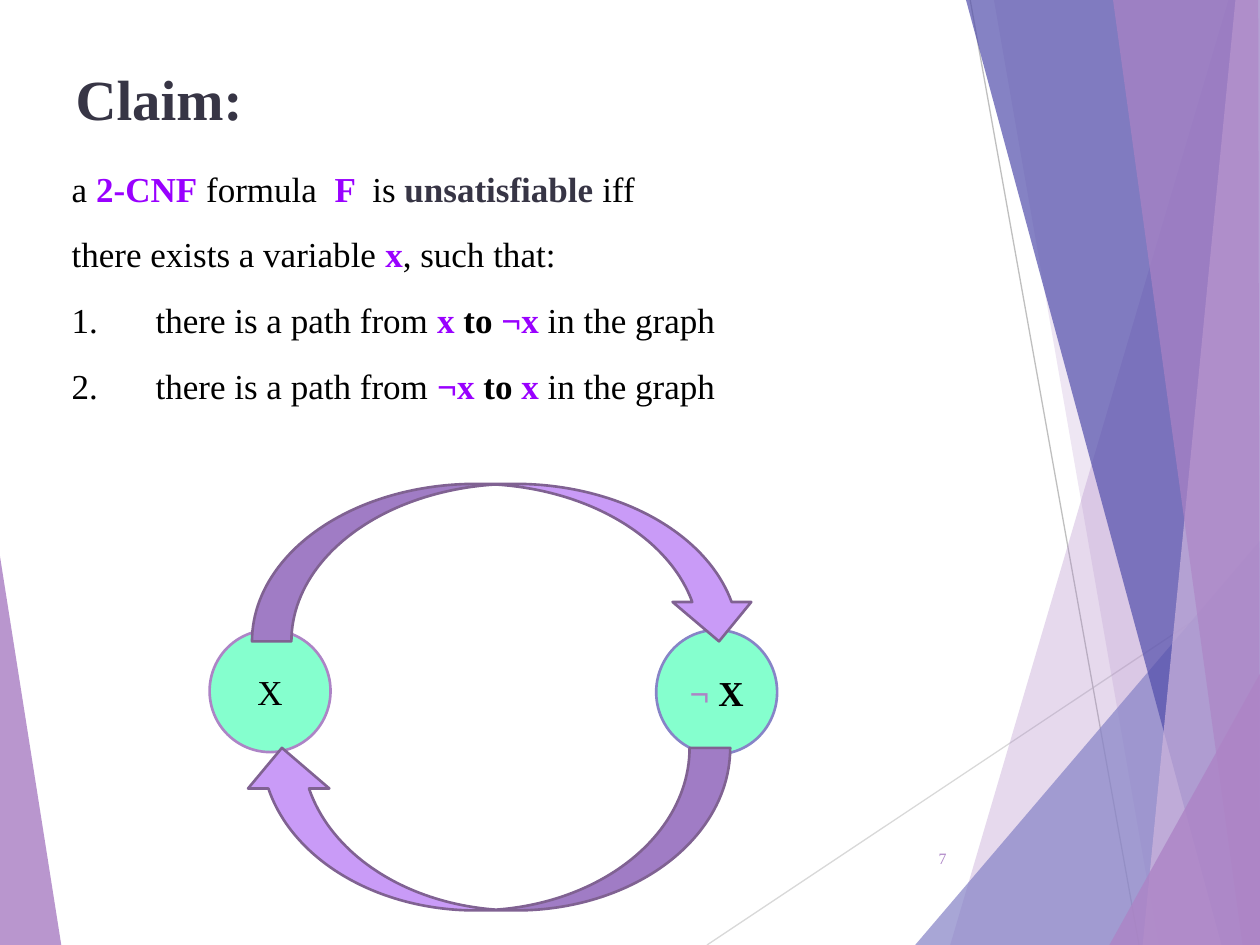
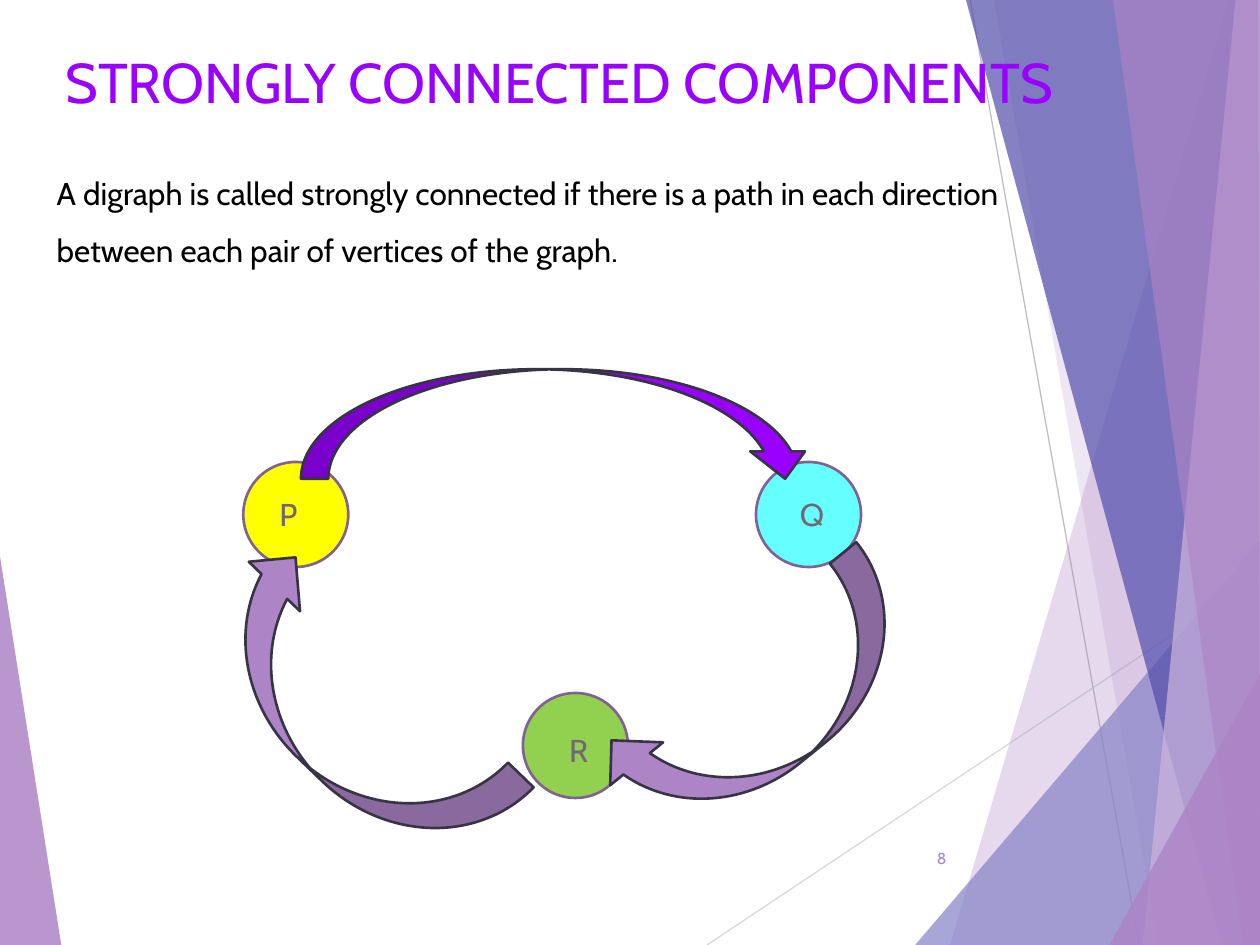
import pptx
import pptx.dml.color
import pptx.enum.shapes
import pptx.enum.text
import pptx.oxml
import pptx.oxml.ns
import pptx.util
from lxml import etree

Pt = pptx.util.Pt
qn = pptx.oxml.ns.qn
MSO_SHAPE = pptx.enum.shapes.MSO_SHAPE
ANCHOR = pptx.enum.text.MSO_ANCHOR
ALIGN = pptx.enum.text.PP_ALIGN

COLORS = {
    "lilac": "AD84C6", "periwinkle": "8784C7", "indigo": "524EAB", "mist": "CEB5DD",
    "rule": "BFBFBF", "pale rule": "D9D9D9", "black": "000000", "slate": "373545",
    "violet": "9900FF", "plum": "806292", "mauve": "C99BF7", "label": "736773",
    "mint": "85FFCE", "yellow": "FFFF00", "cyan": "66FFFF", "green": "92D050",
}
SLIDE_SIZE = (720, 540)
SERIF, SANS = "Times New Roman", "Cabin"

# Shared background: colour, opacity in percent, corner points
FACETS = [
    ("lilac", 85, [(0, 318), (35.3, 540), (0, 540)]),
    ("lilac", 30, [(702, 0), (543, 540), (720, 540), (720, 0)]),
    ("lilac", 20, [(567.5, 0), (661.7, 540), (720, 540), (720, 0)]),
    ("periwinkle", 72, [(522.7, 540), (720, 309), (720, 540)]),
    ("indigo", 70, [(552.3, 0), (698.4, 540), (720, 540), (720, 0)]),
    ("mist", 70, [(706.3, 0), (653, 540), (720, 540), (720, 0)]),
    ("lilac", 65, [(636, 0), (710, 540), (720, 540), (718.6, 0)]),
    ("lilac", 80, [(634.3, 540), (720, 385.2), (720, 540)]),
]
RULES = [("pale rule", (404, 540), (720, 329.4)), ("rule", (554.4, 0), (650.9, 540))]
PAGE_NUMBER_BOX = (507.6, 475.9, 40.3, 28.8)

# Runs are (text, colour, bold)
PLAIN, KEY, STRONG, JOIN = ("black", False), ("violet", True), ("slate", True), ("black", True)
CLAIM = [
    (False, [("a ", *PLAIN), ("2-CNF", *KEY), (" formula  ", *PLAIN), ("F ", *KEY),
             (" is ", *PLAIN), ("unsatisfiable", *STRONG), (" iff", *PLAIN)]),
    (False, [("there exists a variable ", *PLAIN), ("x", *KEY), (", such that:", *PLAIN)]),
    (True, [("there is a path from ", *PLAIN), ("x", *KEY), (" to ", *JOIN),
            ("¬x ", *KEY), ("in the graph", *PLAIN)]),
    (True, [("there is a path from ", *PLAIN), ("¬x", *KEY), (" to ", *JOIN),
            ("x ", *KEY), ("in the graph", *PLAIN)]),
]
DEFINITION = [
    (False, [("A digraph is called strongly connected if there is a path in each direction "
              "between each pair of vertices of the graph.", *PLAIN)]),
]

# Nodes: box, fill, line, runs inside.  Arrows: shape, box, rotation, fill, line.
SLIDES = [
    {
        "number": "7", "font": SERIF,
        "title": ("Claim:", (36, 31, 372, 48.2), 32.4, "slate", True, ANCHOR.BOTTOM),
        "body": (CLAIM, (33.8, 79.9, 576, 148.3), 20, 48, 1.5),
        "nodes": [
            ((119.8, 360, 69.1, 69.8), "mint", "lilac", [("X", *PLAIN)]),
            ((375, 360, 69.1, 71), "mint", "periwinkle",
             [("¬ ", "lilac", True), ("X", *JOIN)]),
        ],
        "labels": [],
        "arrows": [
            (MSO_SHAPE.CURVED_DOWN_ARROW, (144, 276.5, 289.4, 90), 0, "mauve", "plum"),
            (MSO_SHAPE.CURVED_LEFT_ARROW, (231.1, 334.1, 92.9, 279.4), 90, "mauve", "plum"),
        ],
    },
    {
        "number": "8", "font": SANS,
        "title": ("STRONGLY CONNECTED COMPONENTS", (30.2, 23.8, 612, 114.5), 32,
                  "violet", False, ANCHOR.TOP),
        "body": (DEFINITION, (25.2, 85, 600, 232.6), 18, 0, 0),
        "nodes": [
            ((139, 264, 60, 60), "yellow", "plum", []),
            ((432, 264, 60, 60), "cyan", "plum", []),
            ((298.8, 396, 60, 60), "green", "plum", []),
        ],
        "labels": [
            ("P", (152.6, 279.4, 32.4, 28.8)),
            ("Q", (450, 279.4, 32.4, 28.8)),
            ("R", (318.2, 414, 28.8, 29.5)),
        ],
        "arrows": [
            (MSO_SHAPE.CURVED_DOWN_ARROW, (172, 211, 292.3, 62.6), 0, "violet", "slate"),
            (MSO_SHAPE.CURVED_LEFT_ARROW, (397.4, 303.1, 77.8, 199.4), 51, "lilac", "slate"),
            (MSO_SHAPE.CURVED_LEFT_ARROW, (160.6, 301.7, 81.4, 209.5), 134, "lilac", "slate"),
        ],
    },
]


def rgb(name):
    return pptx.dml.color.RGBColor.from_string(COLORS[name])


def points(values):
    return [Pt(value) for value in values]


def paint(shape, fill, line=None):
    shape.shadow.inherit = False
    shape.fill.solid()
    shape.fill.fore_color.rgb = rgb(fill)
    if line:
        shape.line.color.rgb = rgb(line)
        shape.line.width = Pt(1.5)
    else:
        shape.line.fill.background()


def style_font(font, name, size, color, bold=False):
    font.name, font.size, font.bold = name, Pt(size), bold
    font.color.rgb = rgb(color)


def add_runs(paragraph, runs, font_name, size):
    paragraph.font.name, paragraph.font.size = font_name, Pt(size)
    for text, color, bold in runs:
        run = paragraph.add_run()
        run.text = text
        style_font(run.font, font_name, size, color, bold)


def add_label(slide, text, box, font_name, size, color, align=ALIGN.LEFT, anchor=ANCHOR.TOP):
    frame = slide.shapes.add_textbox(*points(box)).text_frame
    frame.word_wrap = True
    frame.vertical_anchor = anchor
    paragraph = frame.paragraphs[0]
    paragraph.text = text
    paragraph.alignment = align
    style_font(paragraph.font, font_name, size, color)


def move(shape, box):
    shape.left, shape.top, shape.width, shape.height = points(box)


def add_background(slide):
    """Draw the facets once and hand them to the layout behind its placeholders."""
    group = slide.shapes.add_group_shape()
    for color, start, end in RULES:
        rule = group.shapes.add_connector(
            pptx.enum.shapes.MSO_CONNECTOR.STRAIGHT, *points(start + end))
        rule.line.color.rgb = rgb(color)
        rule.line.width = Pt(0.75)
        etree.SubElement(rule.element.spPr, qn("a:effectLst"))
    for color, opacity, corners in FACETS:
        builder = group.shapes.build_freeform(*corners[0], scale=Pt(1))
        builder.add_line_segments(corners[1:], close=True)
        facet = builder.convert_to_shape()
        paint(facet, color)
        tint = facet.element.spPr.find(".//" + qn("a:srgbClr"))
        etree.SubElement(tint, qn("a:alpha")).set("val", str(opacity * 1000))
    for shape_id, properties in enumerate(group.element.iter(qn("p:cNvPr")), 100):
        properties.set("id", str(shape_id))
    slide.slide_layout.shapes.element.insert(2, group.element)


def fill_title(shape, font_name, text, box, size, color, bold, anchor):
    move(shape, box)
    frame = shape.text_frame
    frame.text = text
    frame.auto_size = pptx.enum.text.MSO_AUTO_SIZE.NONE
    frame.vertical_anchor = anchor
    paragraph = frame.paragraphs[0]
    paragraph.alignment = ALIGN.LEFT
    style_font(paragraph.font, font_name, size, color, bold)


def fill_body(shape, font_name, lines, box, size, indent, space_before):
    move(shape, box)
    frame = shape.text_frame
    frame.auto_size = pptx.enum.text.MSO_AUTO_SIZE.NONE
    for index, (numbered, runs) in enumerate(lines):
        paragraph = frame.add_paragraph() if index else frame.paragraphs[0]
        paragraph.line_spacing = 1.5
        paragraph.space_before = Pt(space_before)
        properties = paragraph._p.get_or_add_pPr()
        properties.set("marL", str(Pt(indent)))
        properties.set("indent", str(-Pt(indent)))
        if numbered:
            bullet = etree.SubElement(properties, qn("a:buAutoNum"))
            bullet.set("type", "arabicPeriod")
        else:
            etree.SubElement(properties, qn("a:buNone"))
        add_runs(paragraph, runs, font_name, size)


def add_graph(slide, content):
    for box, fill, line, runs in content["nodes"]:
        node = slide.shapes.add_shape(MSO_SHAPE.OVAL, *points(box))
        paint(node, fill, line)
        if runs:
            node.text_frame.vertical_anchor = ANCHOR.MIDDLE
            paragraph = node.text_frame.paragraphs[0]
            paragraph.alignment = ALIGN.CENTER
            add_runs(paragraph, runs, content["font"], 20)
    for text, box in content["labels"]:
        add_label(slide, text, box, content["font"], 18, "label")
    for kind, box, rotation, fill, line in content["arrows"]:
        arrow = slide.shapes.add_shape(kind, *points(box))
        arrow.rotation = rotation
        paint(arrow, fill, line)


def main():
    presentation = pptx.Presentation()
    presentation.slide_width, presentation.slide_height = points(SLIDE_SIZE)
    layout = presentation.slide_layouts[1]
    for index, content in enumerate(SLIDES):
        slide = presentation.slides.add_slide(layout)
        if index == 0:
            add_background(slide)
        fill_title(slide.shapes.title, content["font"], *content["title"])
        fill_body(slide.placeholders[1], content["font"], *content["body"])
        add_label(slide, content["number"], PAGE_NUMBER_BOX, content["font"], 9, "lilac",
                  ALIGN.RIGHT, ANCHOR.MIDDLE)
        add_graph(slide, content)
    presentation.save("out.pptx")


if __name__ == "__main__":
    main()
